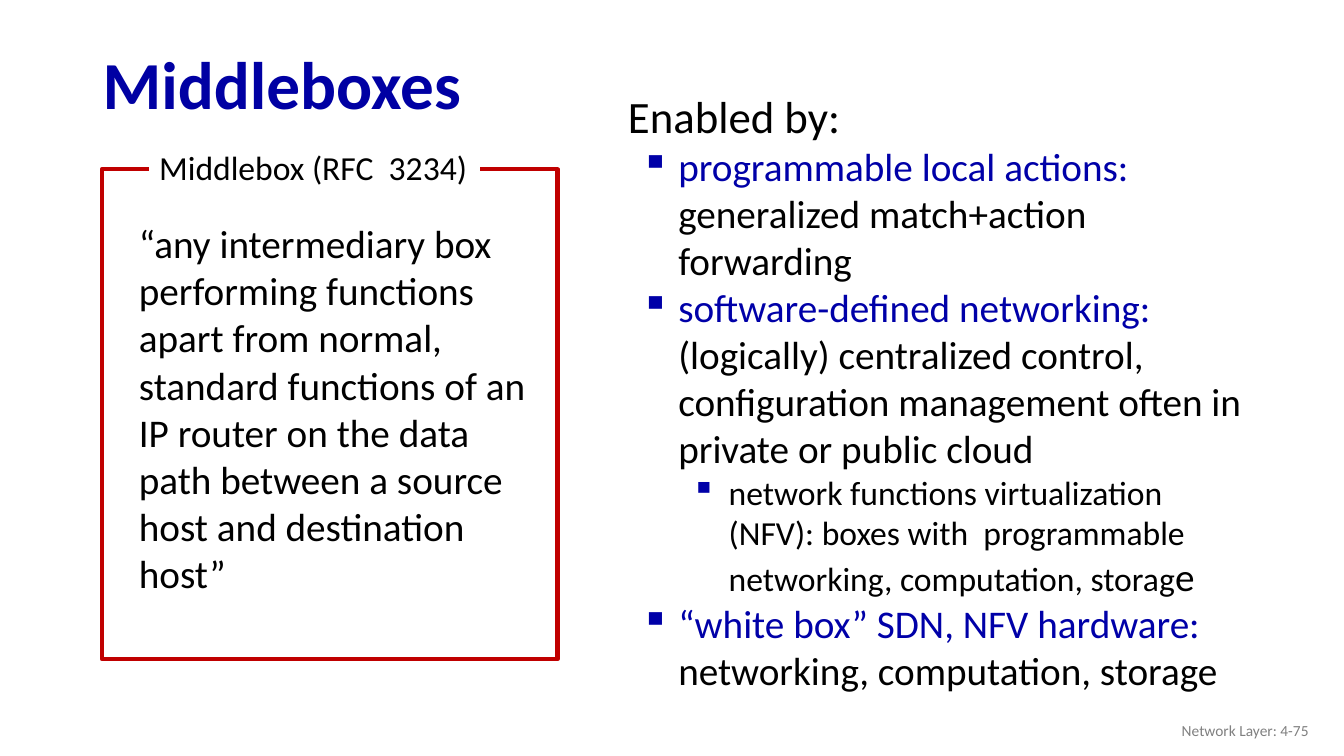
"""Build the slide on middleboxes and what enables them."""
from pptx import Presentation
from pptx.dml.color import RGBColor
from pptx.enum.shapes import MSO_SHAPE as Shape
from pptx.enum.text import MSO_ANCHOR as Anchor, PP_ALIGN as Align
from pptx.oxml.ns import qn
from pptx.util import Inches, Pt
from lxml.etree import SubElement

COLORS = {"title": "0000A3", "accent": "0000A8", "text": "000000",
          "footer": "808080", "frame": "C00000", "paper": "FFFFFF"}

deck = Presentation()
deck.slide_width, deck.slide_height = Inches(13.33), Inches(7.5)
page = deck.slides.add_slide(deck.slide_layouts[6])


def area(left, top, width, height):
    """Turn percentages of the slide into lengths."""
    across, down = deck.slide_width / 100, deck.slide_height / 100
    return int(left * across), int(top * down), int(width * across), int(height * down)


def write(para, text, size=28, color="text", bold=False):
    """Add a formatted run to a paragraph."""
    span = para.add_run()
    span.text = text
    span.font.name = "Calibri"
    span.font.size = Pt(size)
    span.font.bold = bold
    span.font.color.rgb = RGBColor.from_string(COLORS[color])


title = page.shapes.add_textbox(*area(6.9, 5.07, 86.27, 13.07)).text_frame
title.word_wrap = True
title.vertical_anchor = Anchor.MIDDLE
title.paragraphs[0].line_spacing = 0.9
write(title.paragraphs[0], "Middleboxes", size=48, color="title", bold=True)

footer = page.shapes.add_textbox(*area(75.62, 94, 22.5, 5.33)).text_frame
footer.word_wrap = True
footer.vertical_anchor = Anchor.MIDDLE
footer.paragraphs[0].alignment = Align.RIGHT
write(footer.paragraphs[0], "Network Layer: 4-75", size=11, color="footer")

quote = page.shapes.add_textbox(*area(9.6, 28.4, 31.2, 55.6)).text_frame
quote.word_wrap = True
write(quote.paragraphs[0], "“any intermediary box performing functions apart from normal, "
      "standard functions of an IP router on the data path between a source host "
      "and destination host”")

frame = page.shapes.add_shape(Shape.RECTANGLE, *area(7.58, 22.4, 33.9, 64.8))
frame.shadow.inherit = False
frame.fill.background()
frame.line.color.rgb = RGBColor.from_string(COLORS["frame"])
frame.line.width = Pt(3)

label = page.shapes.add_shape(Shape.RECTANGLE, *area(11.1, 18.8, 24.6, 6.67))
label.shadow.inherit = False
label.fill.solid()
label.fill.fore_color.rgb = RGBColor.from_string(COLORS["paper"])
label.line.fill.background()
label.text_frame.word_wrap = False
label.text_frame.paragraphs[0].alignment = Align.LEFT
write(label.text_frame.paragraphs[0], "Middlebox (RFC  3234)", size=24)

enablers = [
    (0, [("programmable local actions: ", 28, "accent"),
         ("generalized match+action forwarding", 28, "text")]),
    (0, [("software-defined networking: ", 28, "accent"),
         ("(logically) centralized control, configuration management often in  "
          "private or public cloud", 28, "text")]),
    (1, [("network functions virtualization (NFV): boxes with  programmable "
          "networking, computation, storag", 24, "text"),
         ("e", 28, "text")]),
    (0, [("“white box” SDN, NFV hardware:", 28, "accent"),
         (" networking, computation, storage", 28, "text")]),
]
body = page.shapes.add_textbox(*area(45.98, 11.07, 48.08, 82.13)).text_frame
body.word_wrap = True
write(body.paragraphs[0], "Enabled by:", size=32)
for level, spans in enablers:
    para = body.add_paragraph()
    para.level = level
    props = para._p.get_or_add_pPr()
    props.set("marL", str(Inches(0.5 * (level + 1))))
    props.set("indent", str(-Inches(0.37)))
    tint = SubElement(props, qn("a:buClr"))
    SubElement(tint, qn("a:srgbClr"), val=COLORS["accent"])
    SubElement(props, qn("a:buChar"), char="▪")
    for text, size, color in spans:
        write(para, text, size=size, color=color)

deck.save("out.pptx")
